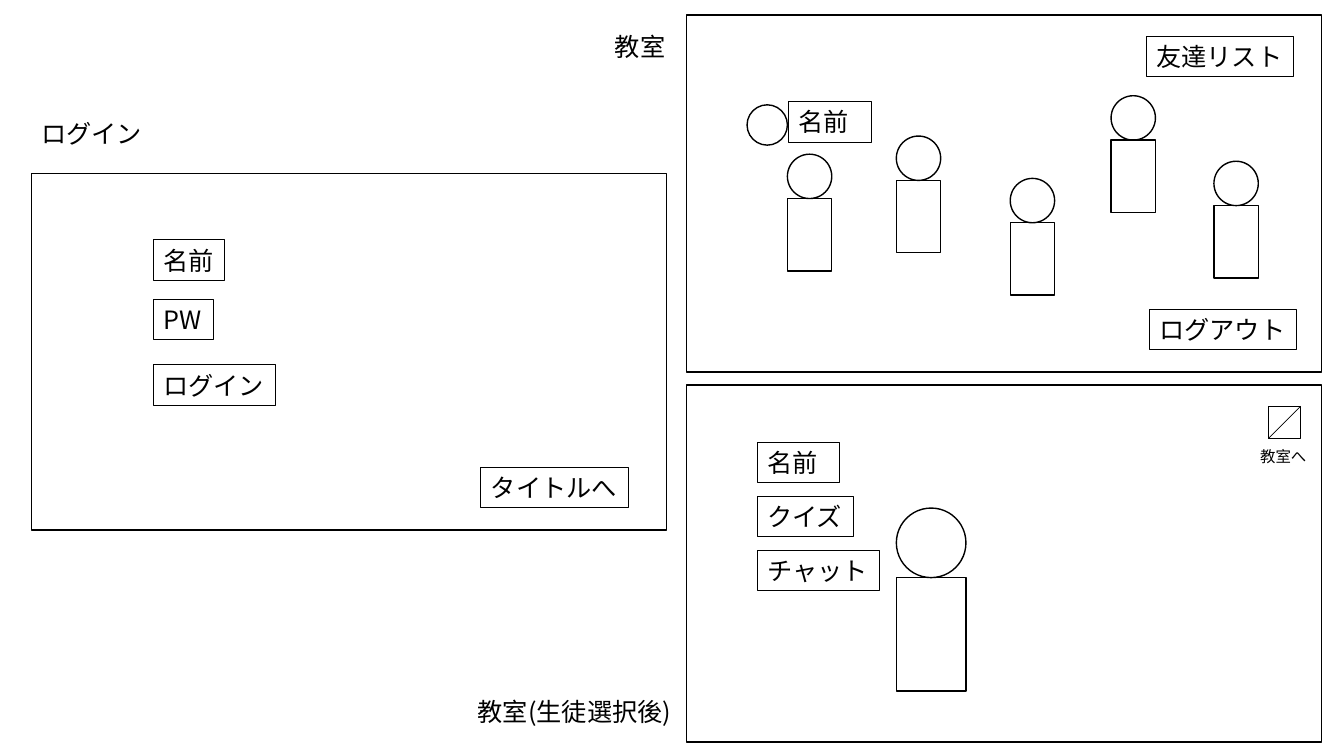
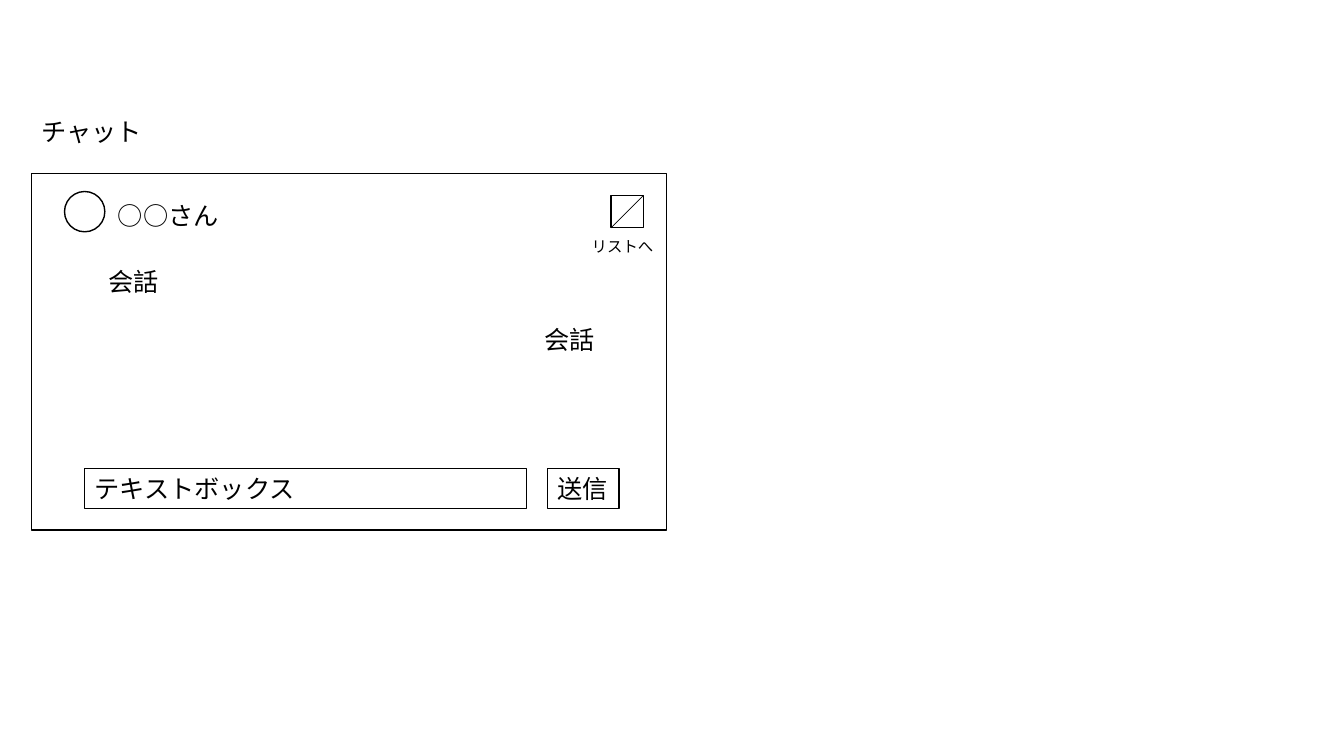
from pptx import Presentation
from pptx.dml.color import RGBColor
from pptx.enum.shapes import MSO_CONNECTOR, MSO_SHAPE
from pptx.enum.text import MSO_ANCHOR, MSO_AUTO_SIZE, PP_ALIGN
from pptx.oxml.ns import qn
from pptx.util import Inches, Pt
from lxml.etree import SubElement

BLACK = RGBColor(0, 0, 0)
FONT = "Noto Sans CJK JP"
PANE = (6.3, 3.54)
LEFT_PANE = (0.31, 1.72)
TEXT_H = 0.4
FACE = 0.4
BODY_RATIO = 1.63
ICON = 0.32


def add_text(slide, text, left, top, width, *, height=TEXT_H, size=18,
             wrap=False, border=False):
    """Add a line of text, with a thin border if asked."""
    box = slide.shapes.add_textbox(
        Inches(left), Inches(top), Inches(width), Inches(height))
    if border:
        box.line.color.rgb = BLACK
        box.line.width = Pt(0.75)
    frame = box.text_frame
    frame.word_wrap = wrap
    frame.auto_size = MSO_AUTO_SIZE.SHAPE_TO_FIT_TEXT
    frame.vertical_anchor = MSO_ANCHOR.TOP
    para = frame.paragraphs[0]
    para.alignment = PP_ALIGN.LEFT
    run = para.add_run()
    run.text = text
    run.font.size = Pt(size)
    run.font.color.rgb = BLACK
    run.font.name = FONT
    SubElement(run.font._element, qn("a:ea")).set("typeface", FONT)


def add_button(slide, text, left, top, width, wrap=False):
    """Add a bordered button or field."""
    add_text(slide, text, left, top, width, wrap=wrap, border=True)


def add_outline(shapes, kind, left, top, width, height):
    """Add an unfilled shape with a black line."""
    shape = shapes.add_shape(
        kind, Inches(left), Inches(top), Inches(width), Inches(height))
    shape.shadow.inherit = False
    shape.fill.background()
    shape.line.color.rgb = BLACK
    shape.line.width = Pt(1)


def add_pane(slide, left, top):
    """Add the frame of one app screen."""
    add_outline(slide.shapes, MSO_SHAPE.RECTANGLE, left, top, *PANE)


def add_face(slide, left, top):
    """Add a round user icon."""
    add_outline(slide.shapes, MSO_SHAPE.OVAL, left, top, FACE, FACE)


def add_pupil(slide, left, top, head=0.44):
    """Add a grouped figure: round head over a body."""
    shapes = slide.shapes.add_group_shape().shapes
    add_outline(shapes, MSO_SHAPE.OVAL, left, top, head, head)
    add_outline(shapes, MSO_SHAPE.RECTANGLE, left, top + head,
                head, head * BODY_RATIO)


def add_back(slide, left, top, text, text_left, text_width):
    """Add a square back icon with a diagonal, and its caption."""
    shapes = slide.shapes.add_group_shape().shapes
    add_outline(shapes, MSO_SHAPE.RECTANGLE, left, top, ICON, ICON)
    line = shapes.add_connector(
        MSO_CONNECTOR.STRAIGHT, Inches(left + ICON), Inches(top),
        Inches(left), Inches(top + ICON))
    line.line.color.rgb = BLACK
    line.line.width = Pt(0.5)
    SubElement(line._element.spPr, qn("a:effectLst"))
    add_text(slide, text, text_left, top + 0.36, text_width,
             height=0.29, size=11)


def add_login(slide):
    """Draw the login screen."""
    add_pane(slide, *LEFT_PANE)
    add_text(slide, "ログイン", 0.31, 1.12, 1.21)
    for text, top, width in (("名前", 2.38, 0.71), ("PW", 2.97, 0.6),
                             ("ログイン", 3.62, 1.21)):
        add_button(slide, text, 1.52, top, width)
    add_button(slide, "タイトルへ", 4.77, 4.64, 1.46)


def add_class(slide):
    """Draw the classroom screen."""
    add_pane(slide, 6.81, 0.15)
    add_text(slide, "教室", 6, 0.26, 0.71)
    for left, top in ((7.81, 1.53), (8.89, 1.35), (10.02, 1.77),
                      (11.02, 0.95), (12.04, 1.6)):
        add_pupil(slide, left, top)
    add_face(slide, 7.41, 1.04)
    add_button(slide, "名前", 7.82, 1.01, 0.82, wrap=True)
    add_button(slide, "友達リスト", 11.37, 0.36, 1.46)
    add_button(slide, "ログアウト", 11.4, 3.07, 1.46)


def add_chosen(slide):
    """Draw the classroom screen after a pupil is chosen."""
    add_pane(slide, 6.81, 3.82)
    add_text(slide, "教室(生徒選択後)", 4.64, 6.86, 2.17, wrap=True)
    menu = (("名前", 0.82), ("クイズ", 0.96), ("チャット", 1.21))
    for row, (text, width) in enumerate(menu):
        add_button(slide, text, 7.51, 4.39 + row * 0.535, width,
                   wrap=text == "名前")
    add_pupil(slide, 8.89, 5.04, head=0.69)
    add_back(slide, 12.58, 4.03, "教室へ", 12.4, 0.66)


def add_chat(slide):
    """Draw the chat screen."""
    add_pane(slide, *LEFT_PANE)
    add_text(slide, "チャット", 0.31, 1.1, 1.21)
    add_face(slide, 0.64, 1.9)
    add_text(slide, "○○さん", 1.07, 1.94, 1.21)
    add_back(slide, 6.06, 1.94, "リストへ", 5.77, 0.82)
    for left, top in ((0.98, 2.59), (5.3, 3.17)):
        add_text(slide, "会話", left, top, 0.71)
    add_button(slide, "テキストボックス", 0.84, 4.65, 4.38, wrap=True)
    add_button(slide, "送信", 5.43, 4.65, 0.71)


def main():
    """Build both slides and save the deck."""
    deck = Presentation()
    deck.slide_width = Inches(13.33)
    deck.slide_height = Inches(7.5)
    for parts in ((add_login, add_class, add_chosen), (add_chat,)):
        slide = deck.slides.add_slide(deck.slide_layouts[6])
        for draw in parts:
            draw(slide)
    deck.save("out.pptx")


main()
